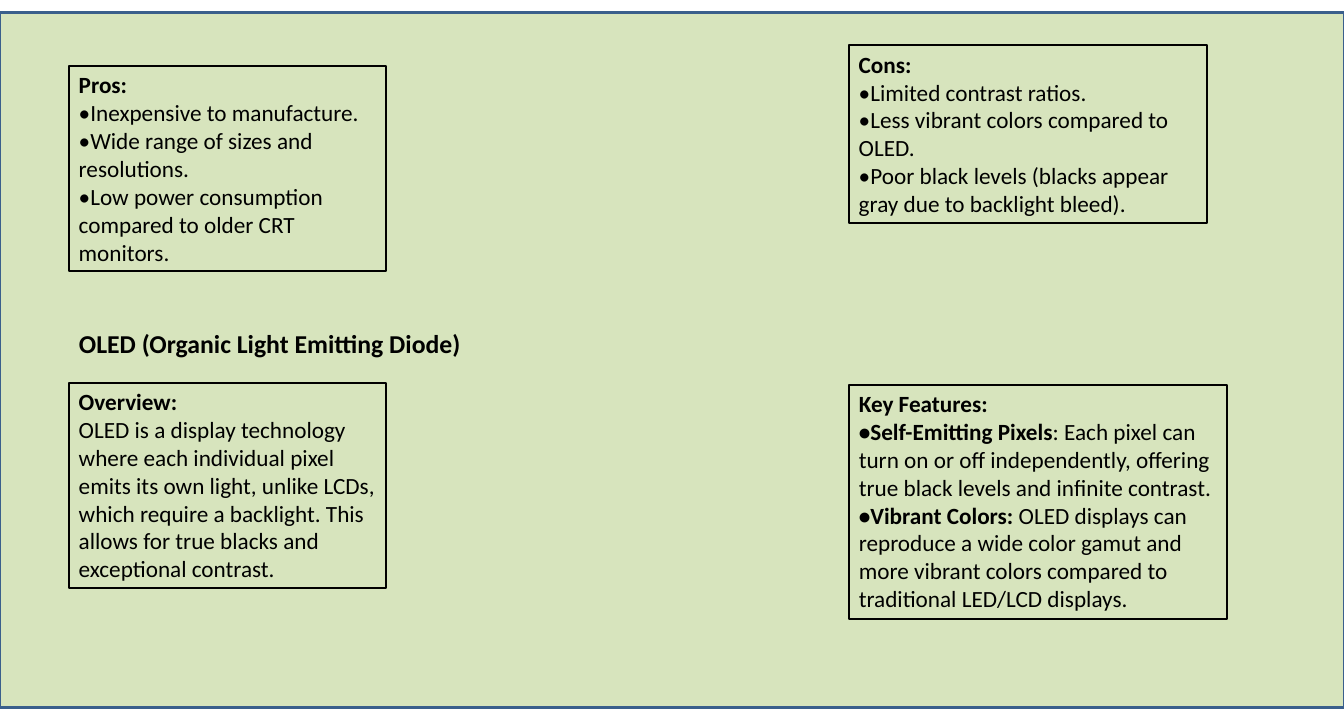
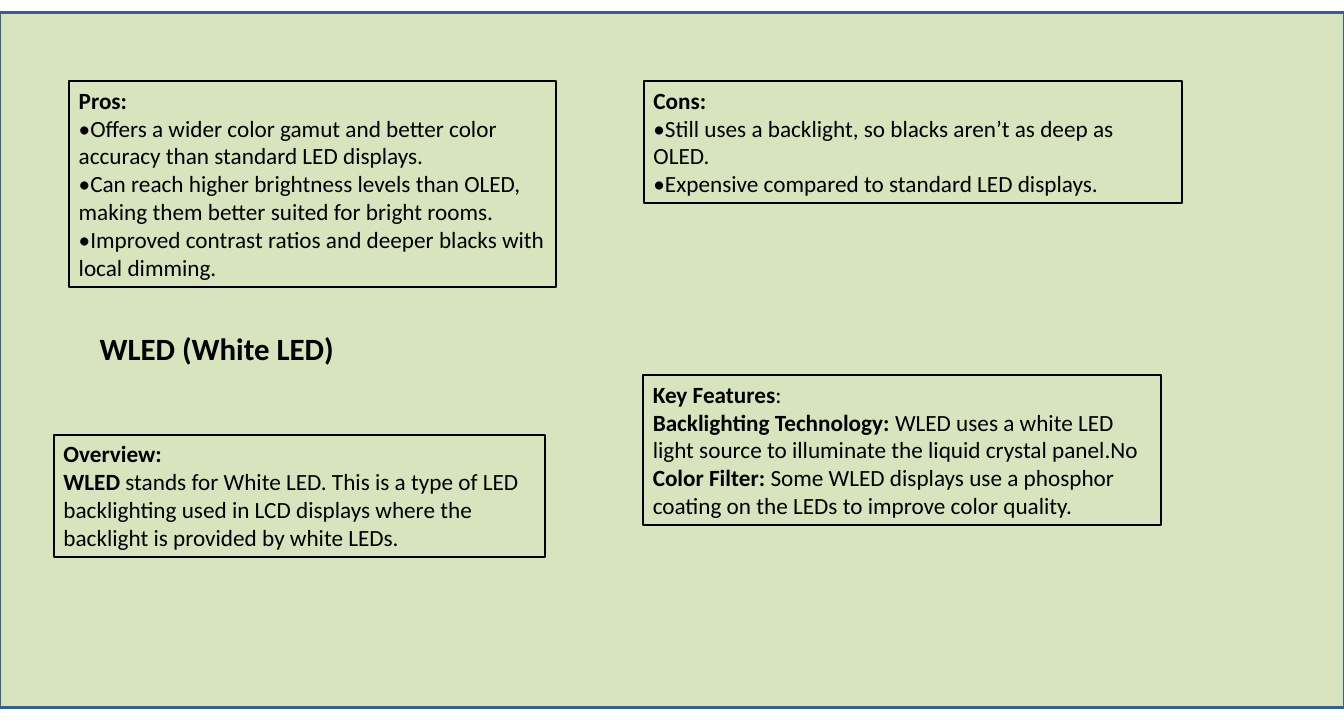
import pptx
import pptx.dml.color
import pptx.enum.shapes
import pptx.enum.text
import pptx.util

Pt = pptx.util.Pt
SLIDE_W, SLIDE_H = 1008, 540
BAND = (0, 9.5, SLIDE_W, 521)
FONT = "Calibri"
BODY_SIZE = 17.4
COLORS = {"band": "D7E4BD", "band_line": "3A5F8C", "ink": "000000"}

# Boxes are (left, top, width, height); ** switches bold on and off.
SLIDES = [
    {
        "title": ("OLED (Organic Light Emitting Diode)", 19.3, (52, 242, 349, 30)),
        "cards": [
            ((52, 49.5, 237.5, 154), [
                "**Pros:**",
                "•Inexpensive to manufacture.",
                "•Wide range of sizes and resolutions.",
                "•Low power consumption compared to older CRT monitors.",
            ]),
            ((637, 34, 268.5, 133), [
                "**Cons:**",
                "•Limited contrast ratios.",
                "•Less vibrant colors compared to OLED.",
                "•Poor black levels (blacks appear gray due to backlight bleed).",
            ]),
            ((52, 287, 237.5, 154), [
                "**Overview:**",
                "OLED is a display technology where each individual pixel emits its own "
                "light, unlike LCDs, which require a backlight. This allows for true "
                "blacks and exceptional contrast.",
            ]),
            ((637, 288.5, 283.5, 176), [
                "**Key Features:**",
                "**•Self-Emitting Pixels**: Each pixel can turn on or off independently, "
                "offering true black levels and infinite contrast.",
                "**•Vibrant Colors: **OLED displays can reproduce a wide color gamut and "
                "more vibrant colors compared to traditional LED/LCD displays.",
            ]),
        ],
    },
    {
        "title": ("WLED (White LED)", 23.2, (67.5, 243.5, 220, 35)),
        "cards": [
            ((52, 61, 365, 154), [
                "**Pros:**",
                "•Offers a wider color gamut and better color accuracy than standard "
                "LED displays.",
                "•Can reach higher brightness levels than OLED, making them better "
                "suited for bright rooms.",
                "•Improved contrast ratios and deeper blacks with local dimming.",
            ]),
            ((483, 61, 403.5, 91.5), [
                "**Cons:**",
                "•Still uses a backlight, so blacks aren’t as deep as OLED.",
                "•Expensive compared to standard LED displays.",
            ]),
            ((40.5, 326, 368, 91.5), [
                "**Overview:**",
                "**WLED** stands for White LED. This is a type of LED backlighting used "
                "in LCD displays where the backlight is provided by white LEDs.",
            ]),
            ((482.5, 281.5, 388, 112.5), [
                "**Key Features**:",
                "**Backlighting Technology: **WLED uses a white LED light source to "
                "illuminate the liquid crystal panel.No **Color Filter: **Some WLED "
                "displays use a phosphor coating on the LEDs to improve color quality.",
            ]),
        ],
    },
]


def rgb(name):
    return pptx.dml.color.RGBColor.from_string(COLORS[name])


def write_text(tf, lines, size=BODY_SIZE, color="ink"):
    """Fill a text frame, one paragraph per line; ** toggles bold."""
    tf.word_wrap = True
    tf.auto_size = pptx.enum.text.MSO_AUTO_SIZE.SHAPE_TO_FIT_TEXT
    tf.vertical_anchor = pptx.enum.text.MSO_ANCHOR.TOP
    for i, line in enumerate(lines):
        p = tf.paragraphs[0] if i == 0 else tf.add_paragraph()
        p.alignment = pptx.enum.text.PP_ALIGN.LEFT
        for j, part in enumerate(line.split("**")):
            if not part:
                continue
            r = p.add_run()
            r.text = part
            r.font.name = FONT
            r.font.size = Pt(size)
            r.font.bold = j % 2 == 1
            r.font.color.rgb = rgb(color)


def add_rect(slide, box, line, line_width, fill=None):
    sp = slide.shapes.add_shape(
        pptx.enum.shapes.MSO_SHAPE.RECTANGLE, *(Pt(v) for v in box))
    sp.shadow.inherit = False
    if fill:
        sp.fill.solid()
        sp.fill.fore_color.rgb = rgb(fill)
    else:
        sp.fill.background()
    sp.line.color.rgb = rgb(line)
    sp.line.width = Pt(line_width)
    return sp


def add_band(slide):
    """Add the background band behind everything, the title included."""
    sp = add_rect(slide, BAND, "band_line", 2, fill="band")
    slide.shapes.title.element.addprevious(sp.element)


def add_card(slide, box, lines):
    sp = add_rect(slide, box, "ink", 1.5)
    write_text(sp.text_frame, lines)


def set_title(slide, text, size, box):
    sp = slide.shapes.title
    sp.left, sp.top, sp.width, sp.height = (Pt(v) for v in box)
    write_text(sp.text_frame, [f"**{text}**"], size=size)


def add_display_slide(prs, title, cards):
    slide = prs.slides.add_slide(prs.slide_layouts.get_by_name("Title Only"))
    add_band(slide)
    set_title(slide, *title)
    for box, lines in cards:
        add_card(slide, box, lines)


def main():
    prs = pptx.Presentation()
    prs.slide_width, prs.slide_height = Pt(SLIDE_W), Pt(SLIDE_H)
    for content in SLIDES:
        add_display_slide(prs, **content)
    prs.save("out.pptx")


if __name__ == "__main__":
    main()
